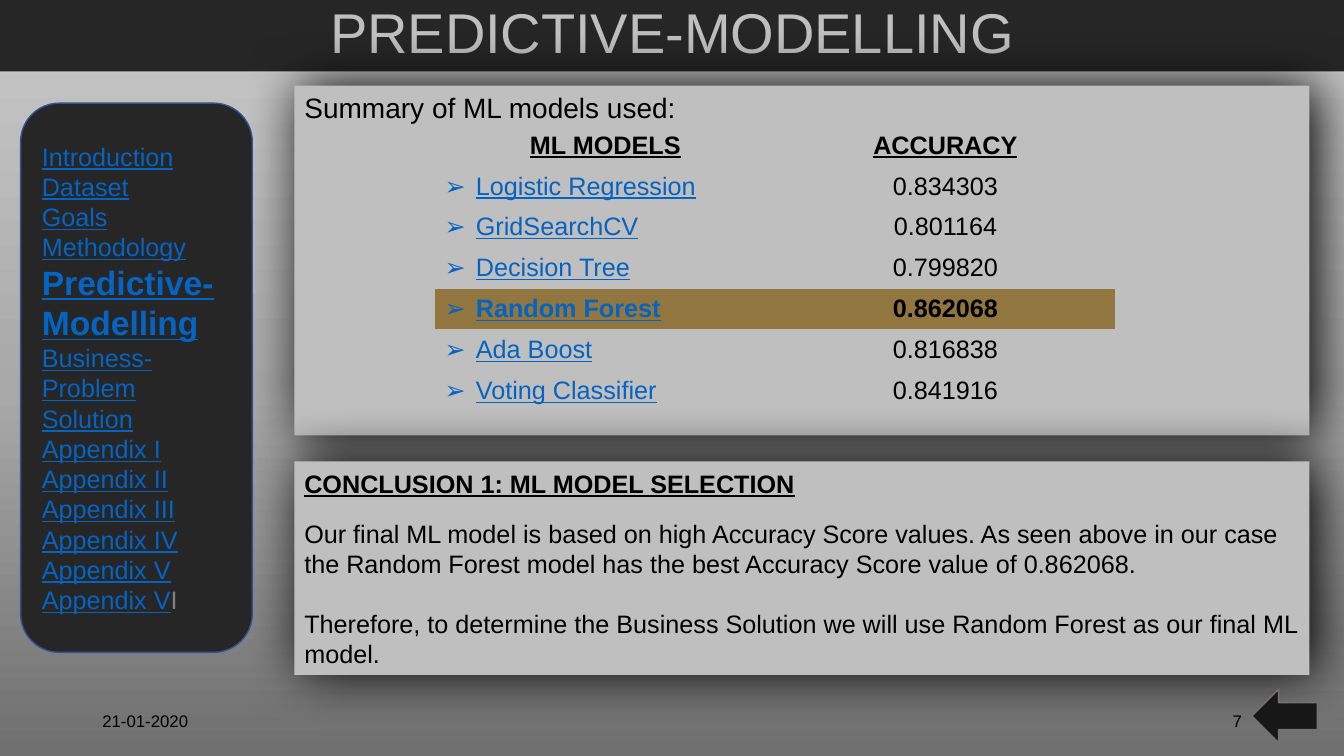
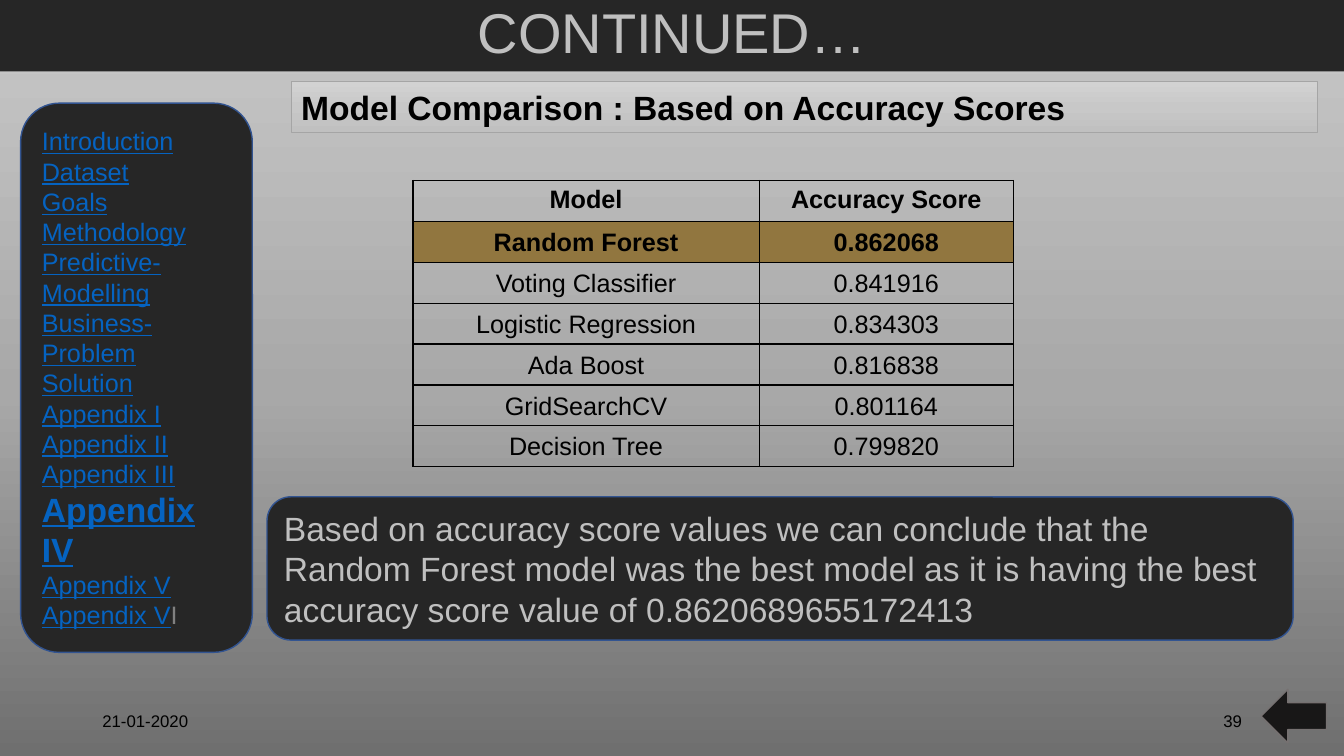
from copy import deepcopy

from lxml import etree
from pptx import Presentation
from pptx.dml.color import RGBColor
from pptx.enum.shapes import MSO_SHAPE as SHAPE
from pptx.enum.text import MSO_ANCHOR as ANCHOR, PP_ALIGN as ALIGN
from pptx.oxml.ns import qn
from pptx.util import Cm, Pt

WIDTH, HEIGHT = 33.87, 19.05
FONT = "Arial"
BLACK, DARK, SILVER, GREY = "000000", "262626", "BFBFBF", "808080"
LINK, GOLD, OUTLINE = "0563C1", "91763F", "325491"
BACKDROP = [(0, "6F6F6F"), (0.48, "A8A8A8"), (1, "C9C9C9")]
SHEEN = [(0, "D2D2D2"), (0.5, "C8C8C8"), (1, "C0C0C0")]
PLAIN_TABLE = "{2D5ABB26-0587-4C30-8999-92F81FD0307C}"
CONTENTS = [
    "Introduction", "Dataset", "Goals", "Methodology", "Predictive-Modelling",
    "Business-Problem", "Solution", "Appendix I", "Appendix II",
    "Appendix III", "Appendix IV", "Appendix V",
]
SCORES = {
    "Logistic Regression": "0.834303",
    "GridSearchCV": "0.801164",
    "Decision Tree": "0.799820",
    "Random Forest": "0.862068",
    "Ada Boost": "0.816838",
    "Voting Classifier": "0.841916",
}
BEST = max(SCORES, key=SCORES.get)


def rgb(value):
    return RGBColor.from_string(value)


def write(tf, text, size=18, color=BLACK, bold=False, underline=False,
          align=ALIGN.LEFT, spacing=None, before=0, same_line=False):
    p = tf.paragraphs[-1]
    if p.runs and not same_line:
        p = tf.add_paragraph()
    if not same_line:
        p.alignment = align
        p.space_before = Pt(before)
        p.line_spacing = spacing
    r = p.add_run()
    r.text = text
    r.font.name, r.font.size = FONT, Pt(size)
    r.font.bold, r.font.underline = bold, underline
    r.font.color.rgb = rgb(color)
    return p


def add_gradient(fill, element, stops, angle):
    fill.gradient()
    fill.gradient_angle = angle
    gs_list = element.find(".//" + qn("a:gsLst"))
    while len(gs_list) < len(stops):
        gs_list.append(deepcopy(gs_list[0]))
    for stop, (position, color) in zip(fill.gradient_stops, stops):
        stop.position = position
        stop.color.rgb = rgb(color)


def add_glow_shadow(sp):
    effects = sp.element.spPr.find(qn("a:effectLst"))
    shadow = etree.SubElement(effects, qn("a:outerShdw"), blurRad=str(Pt(40)),
                              dist=str(Pt(5)), dir="0", algn="ctr", rotWithShape="0")
    etree.SubElement(shadow, qn("a:srgbClr"), val=BLACK)


def add_borders(cell):
    tc_pr = cell._tc.get_or_add_tcPr()
    for side in ("lnL", "lnR", "lnT", "lnB"):
        line = etree.SubElement(tc_pr, qn("a:" + side), w=str(Pt(1)))
        fill = etree.SubElement(line, qn("a:solidFill"))
        etree.SubElement(fill, qn("a:srgbClr"), val=BLACK)


def add_bullet(p):
    p_pr = p._p.get_or_add_pPr()
    p_pr.set("marL", str(Cm(0.79)))
    p_pr.set("indent", str(Cm(-0.79)))
    etree.SubElement(p_pr, qn("a:buFont"), typeface=FONT)
    etree.SubElement(p_pr, qn("a:buChar"), char="➢")


class Deck:
    def __init__(self):
        self.prs = Presentation()
        self.prs.slide_width, self.prs.slide_height = Cm(WIDTH), Cm(HEIGHT)
        self.slide = None

    def add_slide(self, title, current, number, arrow_left):
        self.slide = self.prs.slides.add_slide(self.prs.slide_layouts[6])
        add_gradient(self.slide.background.fill, self.slide.element, BACKDROP, 90)
        band = self.shape(SHAPE.RECTANGLE, 0, 0, WIDTH, 1.8, DARK)
        write(band.text_frame, title, 40, SILVER, align=ALIGN.CENTER, spacing=0.9)
        self.footer(2.33, "21-01-2020", ALIGN.LEFT)
        self.footer(23.93, number, ALIGN.RIGHT)
        self.current, self.arrow_left = current, arrow_left

    def shape(self, kind, left, top, width, height, fill=None, line=None, line_width=1):
        sp = self.slide.shapes.add_shape(kind, Cm(left), Cm(top), Cm(width), Cm(height))
        sp.shadow.inherit = False
        if fill:
            sp.fill.solid()
            sp.fill.fore_color.rgb = rgb(fill)
        if line:
            sp.line.color.rgb = rgb(line)
            sp.line.width = Pt(line_width)
        else:
            sp.line.fill.background()
        sp.text_frame.word_wrap = True
        sp.text_frame.vertical_anchor = ANCHOR.MIDDLE
        return sp

    def footer(self, left, text, align):
        tf = self.slide.shapes.add_textbox(Cm(left), Cm(17.66), Cm(7.62), Cm(1.01)).text_frame
        tf.word_wrap = True
        tf.vertical_anchor = ANCHOR.MIDDLE
        write(tf, text, 12, align=align)

    def panel(self, top, height):
        sp = self.shape(SHAPE.RECTANGLE, 7.42, top, 25.58, height, SILVER)
        add_glow_shadow(sp)
        return sp.text_frame

    def heading(self, text):
        sp = self.shape(SHAPE.RECTANGLE, 7.34, 2.06, 25.86, 1.28, line="A5A5A5", line_width=0.5)
        add_gradient(sp.fill, sp.element, SHEEN, 270)
        write(sp.text_frame, text, 24, bold=True)

    def callout(self, text):
        sp = self.shape(SHAPE.ROUNDED_RECTANGLE, 6.73, 12.52, 25.86, 3.61, DARK, OUTLINE)
        write(sp.text_frame, text, 24, SILVER)

    def navigation(self):
        tf = self.shape(SHAPE.FLOWCHART_ALTERNATE_PROCESS, 0.52, 2.6, 5.84, 13.84,
                        DARK, OUTLINE).text_frame
        for item in CONTENTS:
            here = item == self.current
            write(tf, item, 24 if here else 18, LINK, bold=here, underline=True)
        write(tf, "Appendix V", color=LINK, underline=True)
        write(tf, "I", color=GREY, same_line=True)
        self.shape(SHAPE.LEFT_ARROW, self.arrow_left, 17.37, 1.65, 1.35, "181717", "767171")

    def table(self, left, top, widths, rows, linked=False):
        row_height = 1.03
        table = self.slide.shapes.add_table(
            len(rows), len(widths), Cm(left), Cm(top),
            Cm(sum(widths)), Cm(row_height * len(rows))).table
        table.first_row = table.horz_banding = False
        table._tbl.tblPr.find(qn("a:tableStyleId")).text = PLAIN_TABLE
        for column, width in zip(table.columns, widths):
            column.width = Cm(width)
        for i, row in enumerate(rows):
            table.rows[i].height = Cm(row_height)
            for j, text in enumerate(row):
                self.fill_cell(table.cell(i, j), text, i == 0, row[0] == BEST, j == 0, linked)

    def fill_cell(self, cell, text, header, best, first, linked):
        link = linked and first and not header
        if not linked:
            add_borders(cell)
        if best:
            cell.fill.solid()
            cell.fill.fore_color.rgb = rgb(GOLD)
        else:
            cell.fill.background()
        tight = not (linked or header)
        if tight:
            cell.margin_left = cell.margin_right = Cm(0.03)
            cell.margin_top = cell.margin_bottom = Cm(0.03)
        cell.vertical_anchor = ANCHOR.MIDDLE if linked or tight else ANCHOR.TOP
        p = write(cell.text_frame, text, color=LINK if link else BLACK,
                  bold=header or best, underline=linked and (header or first),
                  align=ALIGN.LEFT if link else ALIGN.CENTER,
                  spacing=1.07 if tight else None)
        if link:
            add_bullet(p)


def add_modelling(deck):
    deck.add_slide("PREDICTIVE-MODELLING", "Predictive-Modelling", "7", 31.55)
    tf = deck.panel(2.16, 8.81)
    tf.vertical_anchor = ANCHOR.TOP
    write(tf, "Summary of ML models used:", 20)
    deck.table(10.95, 3.15, [8.61, 8.53],
               [("ML MODELS", "ACCURACY"), *SCORES.items()], linked=True)
    tf = deck.panel(11.63, 5.38)
    write(tf, "CONCLUSION 1: ML MODEL SELECTION", bold=True, underline=True)
    write(tf, "Our final ML model is based on high Accuracy Score values. As seen above "
              "in our case the Random Forest model has the best Accuracy Score value of "
              "0.862068.", before=14)
    write(tf, "Therefore, to determine the Business Solution we will use Random Forest "
              "as our final ML model.", before=21)
    deck.navigation()


def add_comparison(deck):
    deck.add_slide("CONTINUED…", "Appendix IV", "39", 31.78)
    deck.heading("Model Comparison : Based on Accuracy Scores")
    deck.navigation()
    ranking = sorted(SCORES.items(), key=lambda item: item[1], reverse=True)
    deck.table(10.41, 4.55, [8.72, 6.41], [("Model", "Accuracy Score"), *ranking])
    deck.callout("Based on accuracy score values we can conclude that the Random Forest "
                 "model was the best model as it is having the best accuracy score value "
                 "of 0.8620689655172413")


def main():
    deck = Deck()
    add_modelling(deck)
    add_comparison(deck)
    deck.prs.save("out.pptx")


if __name__ == "__main__":
    main()
